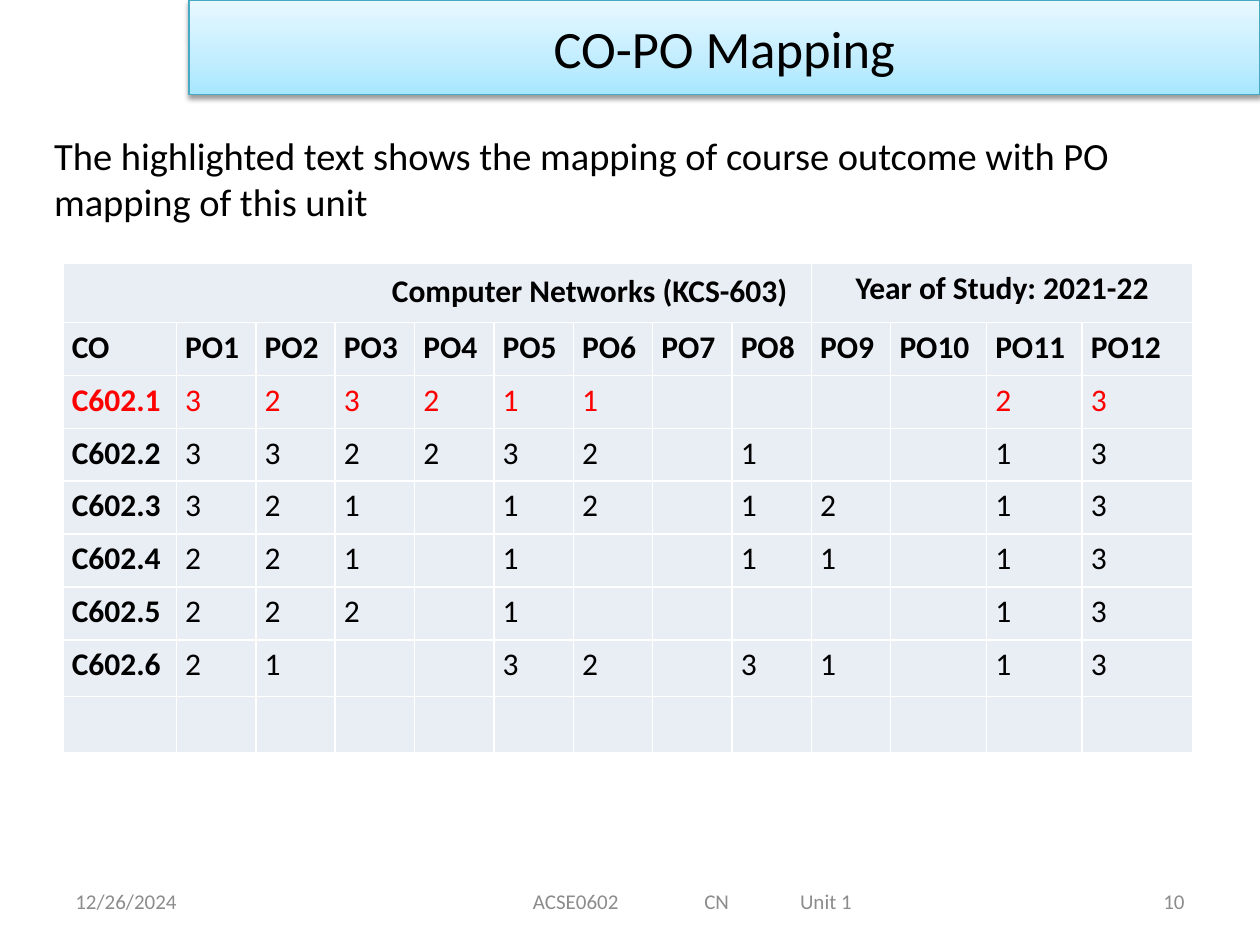
from copy import deepcopy
from dataclasses import dataclass

from lxml.etree import SubElement
from pptx import Presentation
from pptx.dml.color import RGBColor
from pptx.enum.text import MSO_ANCHOR as Anchor, MSO_AUTO_SIZE as AutoSize, PP_ALIGN as Align
from pptx.oxml.ns import qn
from pptx.util import Inches, Pt

BLACK, RED, GREY, WHITE = "000000", "FF0000", "8C8C8C", "FFFFFF"
CELL_FILL = "E9EDF4"
COLUMN_WIDTHS = [0.9] + [0.63] * 9 + [0.76, 0.76, 0.88]
ROW_HEIGHTS = [0.47] + [0.42] * 6 + [0.45] * 2
COURSE_COLUMNS = 9


@dataclass
class Outcome:
    name: str
    levels: str
    color: str = BLACK


@dataclass
class FooterItem:
    text: str
    left: float
    width: float
    align: Align = Align.LEFT
    margin: float = 0.1
    tabs: tuple = ()


OUTCOMES = [
    Outcome("C602.1", "323211----23", RED),
    Outcome("C602.2", "332232-1--13"),
    Outcome("C602.3", "321-12-12-13"),
    Outcome("C602.4", "221-1--11-13"),
    Outcome("C602.5", "222-1-----13"),
    Outcome("C602.6", "21--32-31-13"),
]

FOOTER = [
    FooterItem("12/26/2024", 0.5, 2.33),
    FooterItem("ACSE0602\tCN\tUnit 1", 2.75, 5.5, margin=1.48, tabs=(1.36, 2.12)),
    FooterItem("10", 7.17, 2.33, Align.RIGHT),
]


def rgb(color: str) -> RGBColor:
    return RGBColor.from_string(color)


def add_run(paragraph, text: str, size: float, color: str = BLACK, bold: bool = False) -> None:
    run = paragraph.add_run()
    run.text = text
    run.font.name = "Calibri"
    run.font.size = Pt(size)
    run.font.bold = bold
    run.font.color.rgb = rgb(color)


def place(shape, left: float, top: float, width: float, height: float) -> None:
    shape.left, shape.top = Inches(left), Inches(top)
    shape.width, shape.height = Inches(width), Inches(height)


def add_shadow(shape) -> None:
    shape.shadow.inherit = False
    effects = shape._element.spPr.find(qn("a:effectLst"))
    shadow = SubElement(effects, qn("a:outerShdw"), blurRad=str(Pt(3.1)),
                        dist=str(Pt(1.6)), dir="5400000", rotWithShape="0")
    color = SubElement(shadow, qn("a:srgbClr"), val=BLACK)
    SubElement(color, qn("a:alpha"), val="38000")


def format_title(title) -> None:
    place(title, 1.5, 0, 8.5, 0.75)
    title.line.color.rgb = rgb("46AAC5")
    title.line.width = Pt(0.75)
    title.fill.gradient()
    title.fill.gradient_angle = 90
    stop_list = title._element.spPr.find(qn("a:gradFill")).find(qn("a:gsLst"))
    stop_list.append(deepcopy(stop_list[-1]))
    stops = [(0, "A7E6FF"), (0.35, "C1EDFF"), (1, "E7F8FF")]
    for stop, (position, color) in zip(title.fill.gradient_stops, stops):
        stop.position = position
        stop.color.rgb = rgb(color)
    add_shadow(title)
    frame = title.text_frame
    frame.auto_size = AutoSize.NONE
    frame.vertical_anchor = Anchor.MIDDLE
    paragraph = frame.paragraphs[0]
    paragraph.alignment = Align.CENTER
    add_run(paragraph, "CO-PO Mapping", 30)


def format_body(body) -> None:
    place(body, 0.33, 1, 9.17, 0.84)
    body.text_frame.auto_size = AutoSize.SHAPE_TO_FIT_TEXT
    paragraph = body.text_frame.paragraphs[0]
    properties = paragraph._p.get_or_add_pPr()
    properties.set("marL", "0")
    properties.set("indent", "0")
    SubElement(properties, qn("a:buNone"))
    paragraph.space_before = Pt(0)
    add_run(paragraph, "The highlighted text shows the mapping of course outcome "
                       "with PO mapping of this unit", 22)


def format_cell(cell) -> None:
    properties = cell._tc.get_or_add_tcPr()
    for side in ("lnL", "lnR", "lnT", "lnB"):
        border = SubElement(properties, qn(f"a:{side}"), w=str(Pt(1)))
        fill = SubElement(border, qn("a:solidFill"))
        SubElement(fill, qn("a:srgbClr"), val=WHITE)
    cell.fill.solid()
    cell.fill.fore_color.rgb = rgb(CELL_FILL)
    cell.margin_left = cell.margin_right = Inches(0.07)
    cell.margin_top = cell.margin_bottom = 0


def write_cell(cell, text: str, color: str = BLACK, bold: bool = False,
               align: Align = Align.LEFT) -> None:
    paragraph = cell.text_frame.paragraphs[0]
    paragraph.alignment = align
    paragraph.line_spacing = 1.15
    paragraph.space_after = Pt(10)
    add_run(paragraph, text, 18, color, bold)


def add_mapping_table(slide) -> None:
    frame = slide.shapes.add_table(len(ROW_HEIGHTS), len(COLUMN_WIDTHS), Inches(0.5),
                                   Inches(2.09), Inches(9), Inches(3.96))
    table = frame.table
    table.first_row = table.horz_banding = False
    for column, width in zip(table.columns, COLUMN_WIDTHS):
        column.width = Inches(width)
    for row, height in zip(table.rows, ROW_HEIGHTS):
        row.height = Inches(height)
    for cell in table.iter_cells():
        format_cell(cell)

    course, year = table.cell(0, 0), table.cell(0, COURSE_COLUMNS)
    course.merge(table.cell(0, COURSE_COLUMNS - 1))
    year.merge(table.cell(0, len(COLUMN_WIDTHS) - 1))
    course.margin_right, course.margin_top = Inches(0.19), Inches(0.03)
    write_cell(course, "Computer Networks (KCS-603)", bold=True, align=Align.RIGHT)
    write_cell(year, "Year of Study: 2021-22", bold=True, align=Align.CENTER)

    headings = ["CO"] + [f"PO{number}" for number in range(1, len(COLUMN_WIDTHS))]
    for column, heading in enumerate(headings):
        write_cell(table.cell(1, column), heading, bold=True)
    for row, outcome in enumerate(OUTCOMES, start=2):
        write_cell(table.cell(row, 0), outcome.name, outcome.color, bold=True)
        for column, level in enumerate(outcome.levels, start=1):
            if level != "-":
                write_cell(table.cell(row, column), level, outcome.color)


def add_footer_item(slide, item: FooterItem) -> None:
    box = slide.shapes.add_textbox(Inches(item.left), Inches(6.95), Inches(item.width), Inches(0.4))
    frame = box.text_frame
    frame.word_wrap = True
    frame.vertical_anchor = Anchor.MIDDLE
    frame.margin_left = Inches(item.margin)
    paragraph = frame.paragraphs[0]
    paragraph.alignment = item.align
    if item.tabs:
        tab_list = SubElement(paragraph._p.get_or_add_pPr(), qn("a:tabLst"))
        for position in item.tabs:
            SubElement(tab_list, qn("a:tab"), pos=str(Inches(position)), algn="l")
    add_run(paragraph, item.text, 12, GREY)


def main() -> None:
    presentation = Presentation()
    presentation.slide_width, presentation.slide_height = Inches(10), Inches(7.5)
    slide = presentation.slides.add_slide(presentation.slide_layouts[1])
    format_title(slide.shapes.title)
    format_body(slide.placeholders[1])
    add_mapping_table(slide)
    for item in FOOTER:
        add_footer_item(slide, item)
    presentation.save("out.pptx")


if __name__ == "__main__":
    main()
